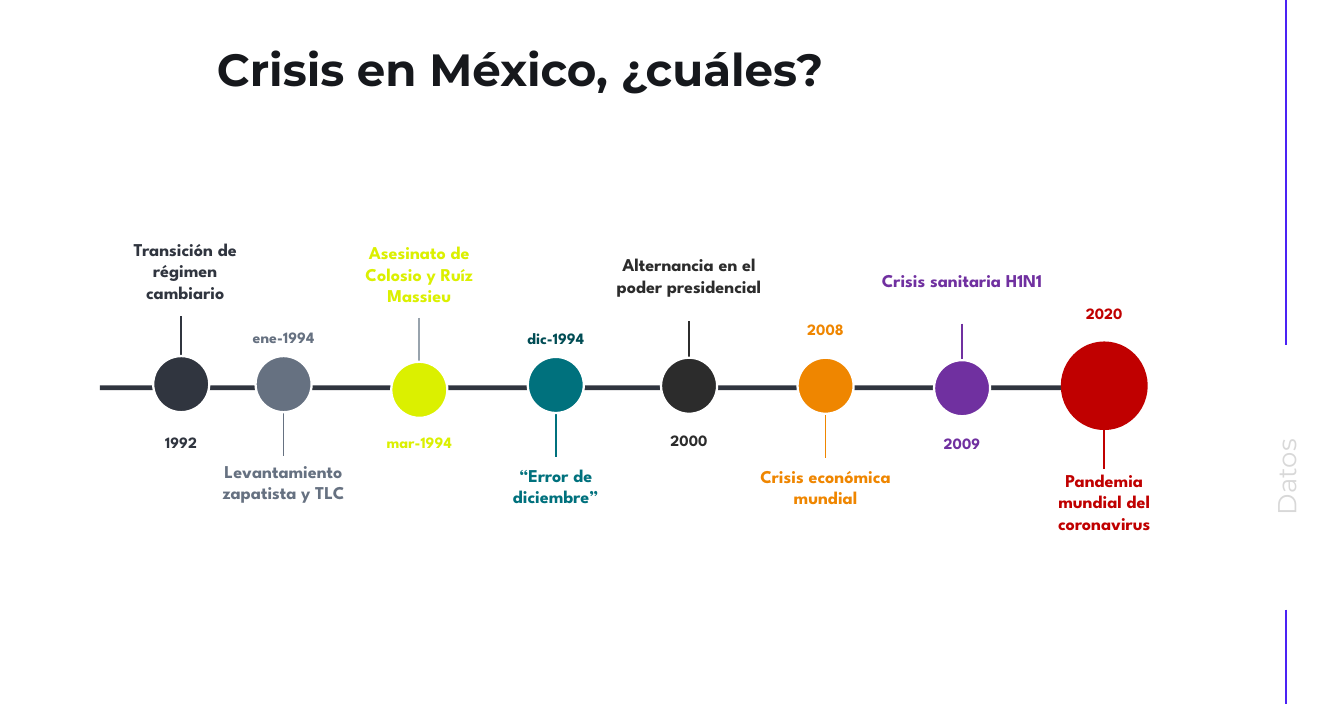
from dataclasses import dataclass

from lxml.etree import SubElement
from pptx import Presentation
from pptx.dml.color import RGBColor
from pptx.enum.shapes import MSO_CONNECTOR as Connector, MSO_SHAPE as Shape
from pptx.enum.text import MSO_ANCHOR as Anchor, MSO_AUTO_SIZE as AutoSize, PP_ALIGN as Align
from pptx.oxml.ns import qn
from pptx.util import Inches, Pt

COLUMNS, ROWS = 16.54, 8.66
CELL = Inches(1)
TITLE_FONT, LABEL_FONT = "Montserrat", "League Spartan"
DOT, STEM, LINE = 0.69, 0.77, 0.27
DATE_HEIGHT = 0.3

COLORS = {
    "white": "FFFFFF", "ink": "16181C", "border": "4B22F4", "section": "D8D8D8",
    "slate": "30353F", "gray": "667181", "silver": "98A3AD", "lime": "DBF000",
    "teal": "00717D", "deep teal": "004C54", "black": "2C2C2C",
    "orange": "EF8600", "purple": "7030A0", "red": "C00000",
}


@dataclass
class Event:
    date: str
    caption: str
    color: str
    center: float
    dot_top: float
    stem_top: float
    date_top: float
    caption_top: float
    caption_width: float = 1.63
    caption_lines: int = 3
    caption_shift: float = 0
    dot_width: float = DOT
    dot_height: float = DOT
    outlined: bool = True
    stem_color: str = ""
    date_color: str = ""


EVENTS = [
    Event("1992", "Transición de régimen cambiario", "slate", 2.23, 4.38, 3.89, 5.32, 2.93,
          caption_width=1.71, caption_shift=0.05),
    Event("ene-1994", "Levantamiento zapatista y TLC", "gray", 3.49, 4.38, 4.84, 4.03, 5.66),
    Event("mar-1994", "Asesinato de Colosio y Ruíz Massieu", "lime", 5.16, 4.45, 3.91, 5.32, 2.97,
          caption_width=1.7, stem_color="silver"),
    Event("dic-1994", "“Error de diciembre”", "teal", 6.84, 4.39, 4.85, 4.04, 5.71,
          caption_lines=2, date_color="deep teal"),
    Event("2000", "Alternancia en el poder presidencial", "black", 8.48, 4.4, 3.95, 5.3, 3.12,
          caption_width=2.24, caption_lines=2),
    Event("2008", "Crisis económica mundial", "orange", 10.16, 4.4, 4.86, 3.93, 5.72),
    Event("2009", "Crisis sanitaria H1N1", "purple", 11.84, 4.43, 3.98, 5.33, 3.32,
          caption_width=2.24, caption_lines=2),
    Event("2020", "Pandemia mundial del coronavirus", "red", 13.59, 4.2, 5, 3.74, 5.77,
          dot_width=1.07, dot_height=1.09, outlined=False),
]


def rgb(color):
    return RGBColor.from_string(COLORS[color])


def cells(*lengths):
    return [round(length * CELL) for length in lengths]


def write(shape, text, font, size, color, bold=True, align=Align.CENTER, inset=0.0, wrap=True):
    frame = shape.text_frame
    frame.text = text
    frame.word_wrap = wrap
    frame.auto_size = AutoSize.NONE
    frame.margin_left = frame.margin_top = frame.margin_right = frame.margin_bottom = Inches(inset)
    paragraph = frame.paragraphs[0]
    paragraph.alignment = align
    for run in paragraph.runs:
        run.font.name = font
        run.font.size = Pt(size)
        run.font.bold = bold
        run.font.color.rgb = rgb(color)


def add_label(slide, text, center, top, width, height, size, color, wrap=True):
    label = slide.shapes.add_textbox(*cells(center - width / 2, top, width, height))
    write(label, text, LABEL_FONT, size, color, wrap=wrap)


def add_vertical(slide, column, top, bottom, color):
    line = slide.shapes.add_connector(Connector.STRAIGHT, *cells(column, top, column, bottom))
    line.line.color.rgb = rgb(color)
    line.line.width = Pt(1.5)
    SubElement(line._element.spPr, qn("a:effectLst"))


def add_filled(slide, preset, left, top, width, height, color, outlined=False):
    shape = slide.shapes.add_shape(preset, *cells(left, top, width, height))
    shape.shadow.inherit = False
    shape.fill.solid()
    shape.fill.fore_color.rgb = rgb(color)
    if outlined:
        shape.line.color.rgb = rgb("white")
        shape.line.width = Pt(2)
    else:
        shape.line.fill.background()


def add_title(slide):
    title = slide.shapes.title
    title.left, title.top, title.width, title.height = cells(2.51, 0.45, 10.08, 0.78)
    write(title, "Crisis en México, ¿cuáles?", TITLE_FONT, 40, "ink", align=Align.LEFT, inset=0.16)
    title.text_frame.vertical_anchor = Anchor.MIDDLE


def add_section_mark(slide):
    for top, bottom in ((0, 4.24), (7.5, ROWS)):
        add_vertical(slide, 15.83, top, bottom, "border")
    section = slide.shapes.add_textbox(*cells(14.19, 5.51, 3.29, 0.72))
    section.rotation = 270
    write(section, "Datos", TITLE_FONT, 23, "section", bold=False, inset=0.16)


def add_event(slide, event):
    add_vertical(slide, event.center, event.stem_top, event.stem_top + STEM,
                 event.stem_color or event.color)
    add_filled(slide, Shape.OVAL, event.center - event.dot_width / 2, event.dot_top,
               event.dot_width, event.dot_height, event.color, event.outlined)
    add_label(slide, event.caption, event.center + event.caption_shift, event.caption_top,
              event.caption_width, event.caption_lines * LINE, 16, event.color)
    date_width = 0.6 if event.date.isdigit() else 1.14
    add_label(slide, event.date, event.center, event.date_top, date_width, DATE_HEIGHT,
              14, event.date_color or event.color, wrap=False)


def main():
    presentation = Presentation()
    presentation.slide_width, presentation.slide_height = cells(COLUMNS, ROWS)
    slide = presentation.slides.add_slide(presentation.slide_layouts[5])
    add_title(slide)
    add_section_mark(slide)
    add_filled(slide, Shape.RECTANGLE, 1.23, 4.74, 12.06, 0.06, "slate")
    for event in EVENTS:
        add_event(slide, event)
    presentation.save("out.pptx")


if __name__ == "__main__":
    main()
